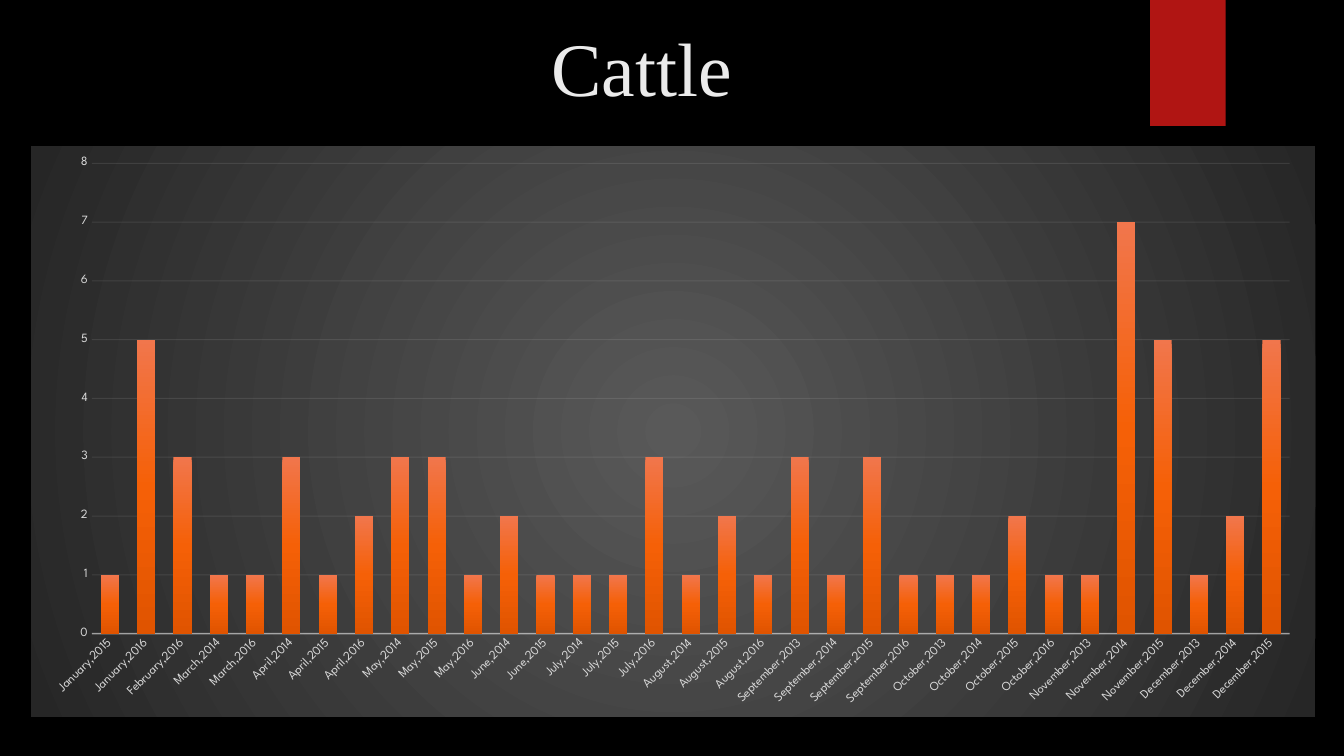
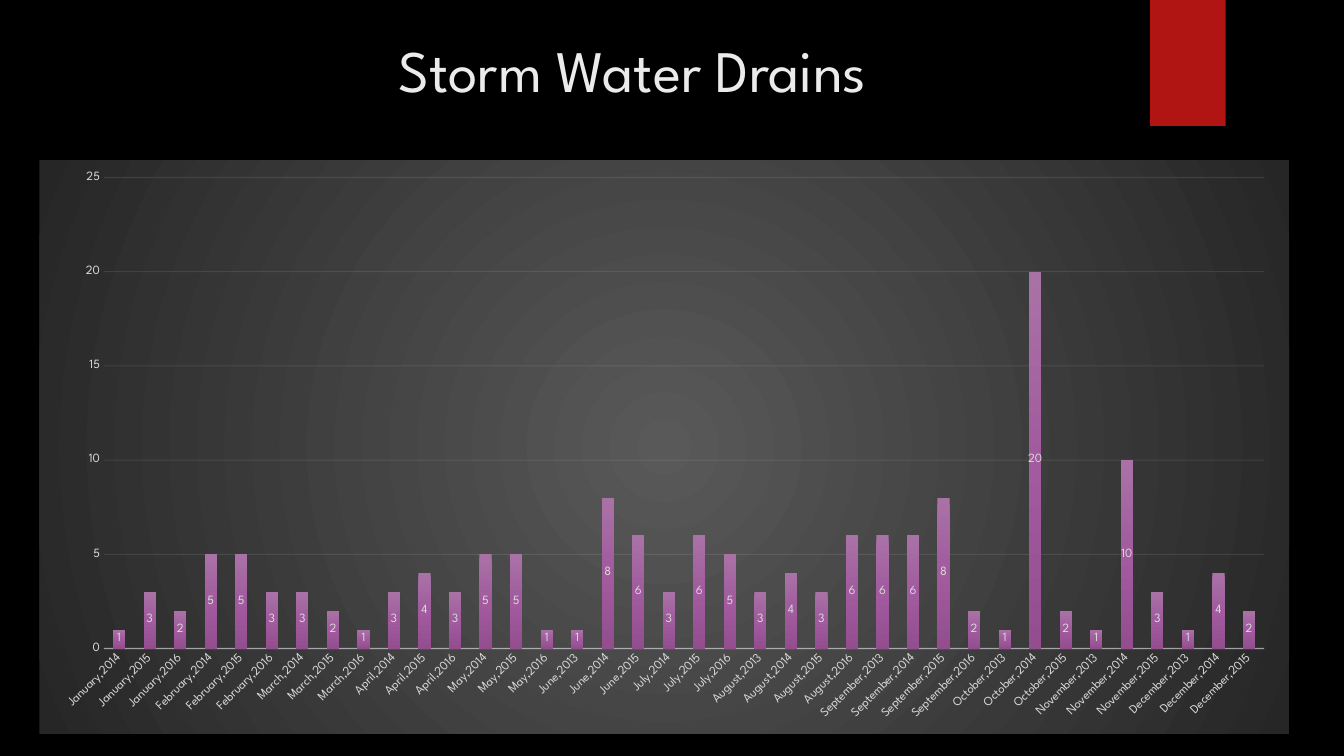
from dataclasses import dataclass

from lxml.etree import SubElement
from pptx import Presentation
from pptx.chart.data import CategoryChartData
from pptx.dml.color import RGBColor as RGB
from pptx.enum.chart import XL_CHART_TYPE as ChartType
from pptx.enum.chart import XL_LABEL_POSITION as LabelPos
from pptx.enum.chart import XL_TICK_MARK as Tick
from pptx.enum.shapes import MSO_SHAPE as Shape
from pptx.enum.text import MSO_ANCHOR as Anchor
from pptx.enum.text import PP_ALIGN as Align
from pptx.oxml import parse_xml
from pptx.oxml.ns import nsdecls, qn
from pptx.util import Inches, Pt


@dataclass(frozen=True)
class Theme:
    background: str = "000000"
    ribbon: str = "B01513"
    title: str = "EBEBEB"
    axis_text: str = "D9D9D9"
    rule: str = "F2F2F2"
    # Gradient stops: position %, colour, opacity %
    glow: tuple = ((0, "50B9C1", 7), (36, "50B9C1", 6), (69, "50B9C1", 0))
    panel: tuple = ((0, "595959", 100), (100, "262626", 100))
    font: str = "League Spartan"
    axis_size: int = 9
    axis_alpha: int = 54
    grid_alpha: int = 10


THEME = Theme()
WIDTH, HEIGHT = 40 / 3, 7.5
GLOW = (9.41, 1.83, 3.08, 3.08)
RIBBON = (11.41, 0, 0.75, 1.25)
TITLE_SIZE = (10.29, 1.53)

# Content: counts per month, by year
SLIDES = [
    dict(
        title="Cattle", title_font="Times New Roman", title_size=54,
        title_at=(1.22, 0.16), panel=(0.31, 1.45, 12.74, 5.66),
        kind=ChartType.COLUMN_CLUSTERED, gap=100, overlap=-24,
        top=8, step=1, labels=False, month_label="{},{}",
        bars=("F1764C", "F56007", "E05400"),
        counts={
            "January": {2015: 1, 2016: 5},
            "February": {2016: 3},
            "March": {2014: 1, 2016: 1},
            "April": {2014: 3, 2015: 1, 2016: 2},
            "May": {2014: 3, 2015: 3, 2016: 1},
            "June": {2014: 2, 2015: 1},
            "July": {2014: 1, 2015: 1, 2016: 3},
            "August": {2014: 1, 2015: 2, 2016: 1},
            "September": {2013: 3, 2014: 1, 2015: 3, 2016: 1},
            "October": {2013: 1, 2014: 1, 2015: 2, 2016: 1},
            "November": {2013: 1, 2014: 7, 2015: 5},
            "December": {2013: 1, 2014: 2, 2015: 5},
        },
    ),
    dict(
        title="Storm Water Drains", title_font=THEME.font, title_size=42,
        title_at=(1.13, 0.29), panel=(0.39, 1.59, 12.4, 5.69),
        kind=ChartType.COLUMN_STACKED, gap=150, overlap=100,
        top=25, step=5, labels=True, month_label=" {},{}",
        bars=("A972A6", "A15B9E", "924E8F"),
        counts={
            "January": {2014: 1, 2015: 3, 2016: 2},
            "February": {2014: 5, 2015: 5, 2016: 3},
            "March": {2014: 3, 2015: 2, 2016: 1},
            "April": {2014: 3, 2015: 4, 2016: 3},
            "May": {2014: 5, 2015: 5, 2016: 1},
            "June": {2013: 1, 2014: 8, 2015: 6},
            "July": {2014: 3, 2015: 6, 2016: 5},
            "August": {2013: 3, 2014: 4, 2015: 3, 2016: 6},
            "September": {2013: 6, 2014: 6, 2015: 8, 2016: 2},
            "October": {2013: 1, 2014: 20, 2015: 2},
            "November": {2013: 1, 2014: 10, 2015: 3},
            "December": {2013: 1, 2014: 4, 2015: 2},
        },
    ),
]


def box(*lengths):
    return [Inches(length) for length in lengths]


def gradient(stops, radial=False):
    """Gradient from the centre outwards or from top to bottom."""
    marks = "".join(
        f'<a:gs pos="{place * 1000}"><a:srgbClr val="{color}">'
        f'<a:alpha val="{opacity * 1000}"/></a:srgbClr></a:gs>'
        for place, color, opacity in stops)
    centre = '<a:fillToRect l="50000" t="50000" r="50000" b="50000"/>'
    course = (f'<a:path path="circle">{centre}</a:path>' if radial
              else '<a:lin ang="5400000" scaled="0"/>')
    return parse_xml(f'<a:gradFill {nsdecls("a")}><a:gsLst>{marks}</a:gsLst>{course}</a:gradFill>')


def style_font(font, size, color, name=THEME.font):
    font.name, font.size = name, Pt(size)
    font.color.rgb = RGB.from_string(color)


def style_rule(line, width, alpha):
    line.width = Pt(width)
    line.color.rgb = RGB.from_string(THEME.rule)
    color = line.fill._xPr.find(".//" + qn("a:srgbClr"))
    SubElement(color, qn("a:alpha")).set("val", str(alpha * 1000))


def add_plain_shape(slide, preset, place):
    shape = slide.shapes.add_shape(preset, *box(*place))
    shape.shadow.inherit = False
    shape.line.fill.background()
    return shape


def add_frame(slide, content):
    """Background, glow, ribbon and title."""
    backdrop = slide.background.fill
    backdrop.solid()
    backdrop.fore_color.rgb = RGB.from_string(THEME.background)

    glow = add_plain_shape(slide, Shape.OVAL, GLOW)
    outline = glow._element.spPr.find(qn("a:prstGeom"))
    outline.addnext(gradient(THEME.glow, radial=True))

    ribbon = add_plain_shape(slide, Shape.RECTANGLE, RIBBON)
    ribbon.fill.solid()
    ribbon.fill.fore_color.rgb = RGB.from_string(THEME.ribbon)

    title = slide.shapes.add_textbox(*box(*content["title_at"], *TITLE_SIZE)).text_frame
    title.word_wrap = True
    title.vertical_anchor = Anchor.TOP
    heading = title.paragraphs[0]
    heading.text = content["title"]
    heading.alignment = Align.CENTER
    style_font(heading.font, content["title_size"], THEME.title, content["title_font"])


def add_counts(slide, content):
    """Column chart on a radial grey panel."""
    months = [(content["month_label"].format(month, year), count)
              for month, years in content["counts"].items()
              for year, count in years.items()]
    data = CategoryChartData()
    data.categories = [month for month, _ in months]
    data.add_series("Series 1", [count for _, count in months])
    chart = slide.shapes.add_chart(content["kind"], *box(*content["panel"]), data).chart
    chart.has_title = chart.has_legend = False
    style_font(chart.font, 10, "FFFFFF")

    # Panel
    panel = parse_xml(f'<c:spPr {nsdecls("c", "a")}><a:ln><a:noFill/></a:ln></c:spPr>')
    panel.insert(0, gradient(THEME.panel, radial=True))
    chart._chartSpace.find(qn("c:chart")).addnext(panel)

    # Columns
    plot = chart.plots[0]
    plot.gap_width, plot.overlap = content["gap"], content["overlap"]
    plot.vary_by_categories = False
    columns = plot.series[0]
    columns.invert_if_negative = False
    shades = [(50 * i, color, 100) for i, color in enumerate(content["bars"])]
    columns._element.get_or_add_spPr().insert(0, gradient(shades))
    if content["labels"]:
        plot.has_data_labels = True
        plot.data_labels.show_value = True
        plot.data_labels.position = LabelPos.CENTER
        style_font(plot.data_labels.font, THEME.axis_size, THEME.axis_text)

    # Axes
    for axis in (chart.category_axis, chart.value_axis):
        axis.major_tick_mark = axis.minor_tick_mark = Tick.NONE
        style_font(axis.tick_labels.font, THEME.axis_size, THEME.axis_text)
        turn = axis._element.xpath("c:txPr/a:bodyPr")[0]
        turn.set("rot", "-60000000")  # automatic slant
        turn.set("vert", "horz")
    style_rule(chart.category_axis.format.line, 1, THEME.axis_alpha)
    scale = chart.value_axis
    scale.minimum_scale, scale.maximum_scale = 0, content["top"]
    scale.major_unit = content["step"]
    scale.format.line.fill.background()
    scale.has_major_gridlines = True
    style_rule(scale.major_gridlines.format.line, 0.75, THEME.grid_alpha)


def main():
    deck = Presentation()
    deck.slide_width, deck.slide_height = box(WIDTH, HEIGHT)
    for content in SLIDES:
        slide = deck.slides.add_slide(deck.slide_layouts[6])
        add_frame(slide, content)
        add_counts(slide, content)
    deck.save("out.pptx")


if __name__ == "__main__":
    main()
